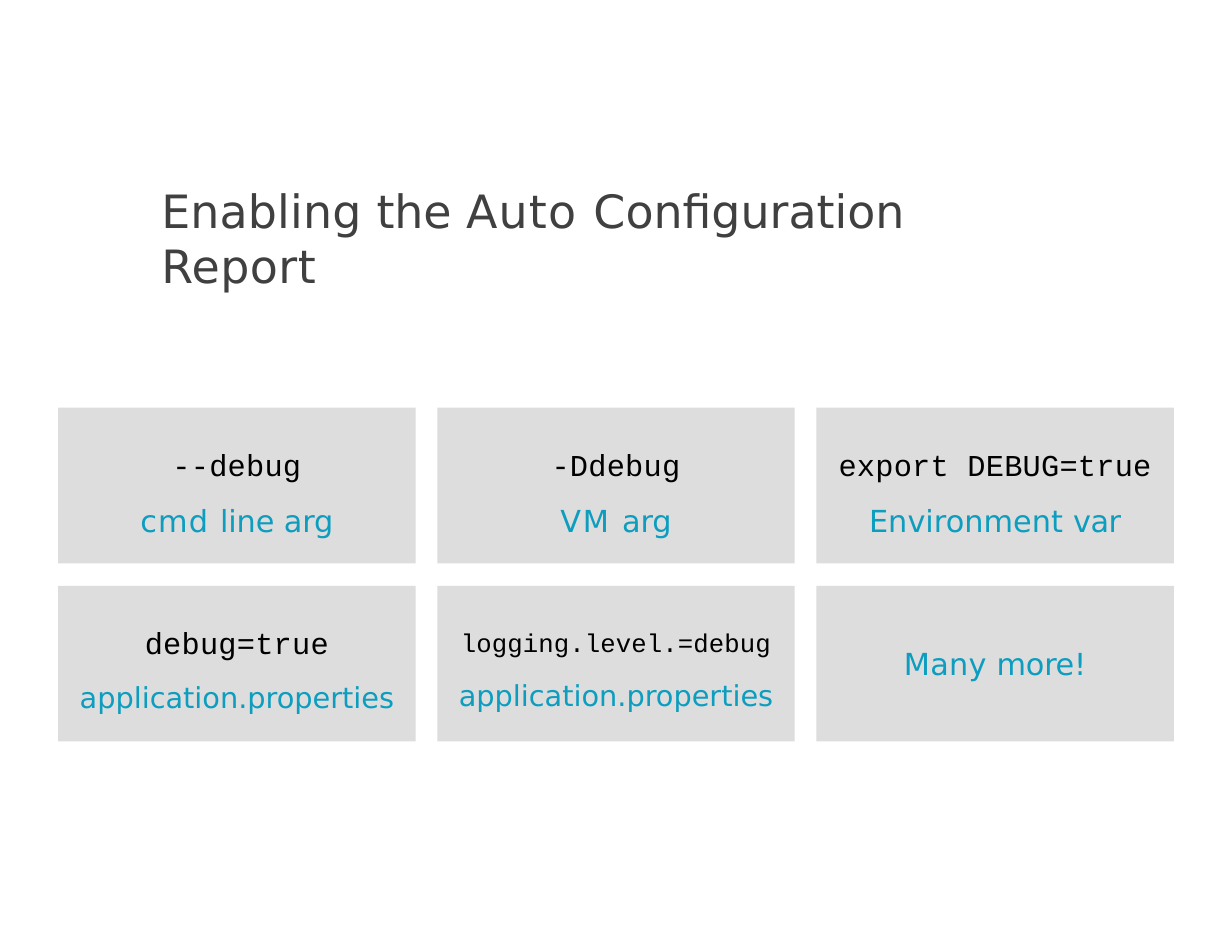
from pptx import Presentation
from pptx.dml.color import RGBColor
from pptx.enum.shapes import MSO_SHAPE as Shape
from pptx.enum.text import MSO_ANCHOR as Anchor, PP_ALIGN as Align
from pptx.util import Inches, Pt

SANS, MONO = "DejaVu Sans", "Courier New"
GREY, BLACK, TEAL, DARK = "DDDDDD", "000000", "0C9DBF", "404040"

# Card grid
LEFT, TOP, WIDE, HIGH = 0.52, 3.64, 3.19, 1.39
STEP_X, STEP_Y = 3.385, 1.59

# Code, code size, label runs with letter spacing, label size, top inset
CARDS = [
    ("--debug", 19.5, [("cmd ", 0.7), ("line arg", -0.1)], 19.5, 0.34),
    ("-Ddebug", 19.5, [("VM ", 1.1), ("arg", -0.1)], 19.5, 0.34),
    ("export DEBUG=true", 19.5, [("Environment ", 0), ("var", -0.3)], 19.5, 0.34),
    ("debug=true", 19.5, [("application.properties", 0)], 18.5, 0.34),
    ("logging.level.=debug", 16.5, [("application.properties", 0)], 18.5, 0.37),
    (None, 0, [("Many ", 0.1), ("more!", -0.2)], 19.5, 0),
]


def color(code):
    return RGBColor.from_string(code)


def set_frame(frame, top=0, right=0):
    frame.word_wrap = True
    frame.margin_left = frame.margin_bottom = 0
    frame.margin_top, frame.margin_right = Inches(top), Inches(right)


def write(para, runs, size, face, code, align=Align.CENTER):
    """Fill a paragraph with (text, letter spacing in points) runs."""
    para.alignment = align
    font = para.font
    font.size, font.name = Pt(size), face
    font.color.rgb = color(code)
    for text, gap in runs:
        run = para.add_run()
        run.text = text
        if gap:
            run.font._element.set("spc", str(round(gap * 100)))


def add_title(slide):
    box = slide.shapes.add_textbox(Inches(1.44), Inches(1.59),
                                   Inches(8.12), Inches(0.52))
    frame = box.text_frame
    set_frame(frame, top=0.04, right=0.15)
    frame.vertical_anchor = Anchor.TOP
    runs = [("Enabling ", 0.1), ("the ", -0.1), ("Auto ", 0.8),
            ("Configuration ", 0), ("Report", 0.3)]
    write(frame.paragraphs[0], runs, 29.5, SANS, DARK, Align.LEFT)


def add_card(slide, x, y, code, code_size, label, size, inset):
    card = slide.shapes.add_shape(Shape.RECTANGLE, Inches(x), Inches(y),
                                  Inches(WIDE), Inches(HIGH))
    card.shadow.inherit = False
    card.fill.solid()
    card.fill.fore_color.rgb = color(GREY)
    card.line.fill.background()
    frame = card.text_frame
    set_frame(frame, top=inset)
    frame.vertical_anchor = Anchor.TOP if code else Anchor.MIDDLE
    para = frame.paragraphs[0]
    if code:
        write(para, [(code, 0.1)], code_size, MONO, BLACK)
        para = frame.add_paragraph()
        para.space_before = Pt(12.6)
    write(para, label, size, SANS, TEAL)


def main():
    deck = Presentation()
    deck.slide_width, deck.slide_height = Inches(11), Inches(8.5)
    slide = deck.slides.add_slide(deck.slide_layouts[6])
    add_title(slide)
    # Three cards to a row
    for i, card in enumerate(CARDS):
        row, col = divmod(i, 3)
        add_card(slide, LEFT + col * STEP_X, TOP + row * STEP_Y, *card)
    deck.save("out.pptx")


if __name__ == "__main__":
    main()
